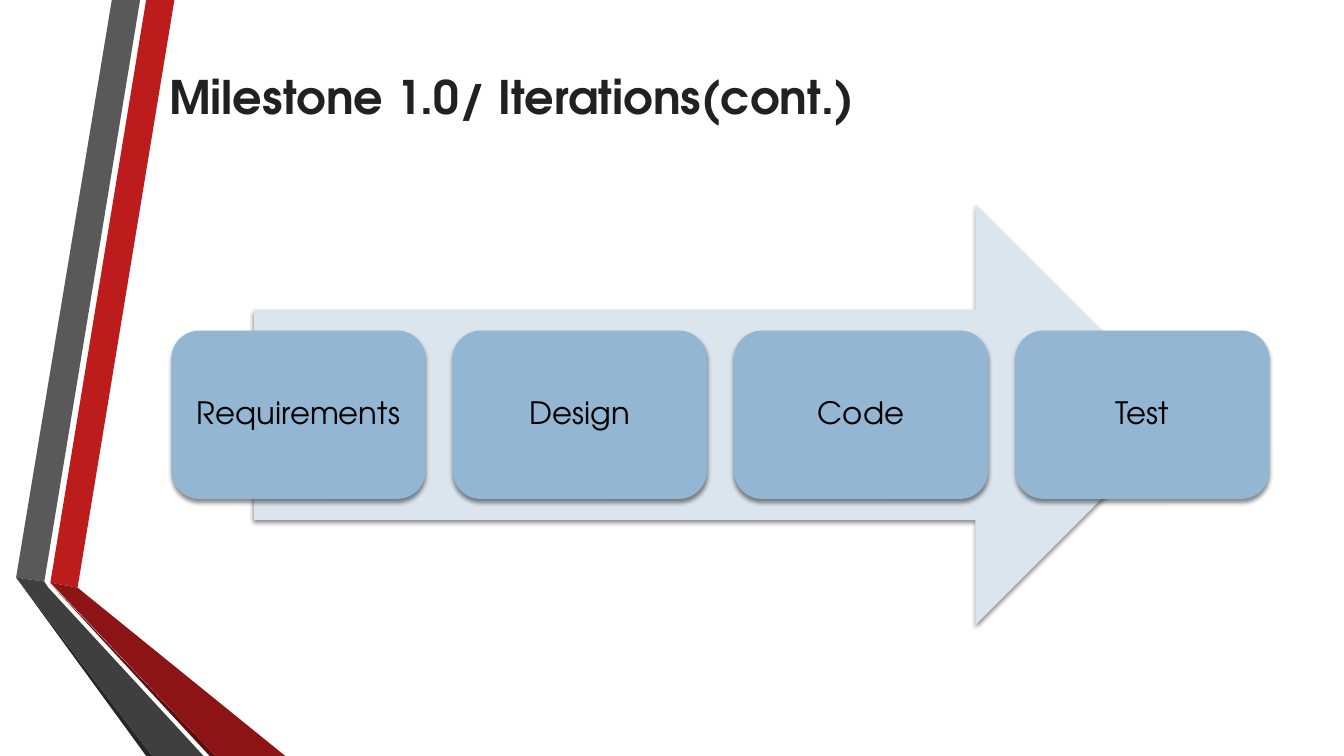
from lxml import etree
from pptx import Presentation
from pptx.dml.color import RGBColor
from pptx.enum import shapes, text
from pptx.oxml import ns
from pptx.util import Inches, Pt

FONT = "TeX Gyre Adventor"
TITLE = "Milestone 1.0/ Iterations(cont.)"
PHASES = ["Requirements", "Design", "Code", "Test"]

# Folded ribbons at the left edge: colour and corner points in inches
RIBBONS = [
    ("BC1C1C", [(0.5, 5.78), (0.77, 5.83), (1.73, 0), (1.45, 0)]),
    ("595959", [(1.39, 0), (1.11, 0), (0.16, 5.73), (0.44, 5.77)]),
    ("262626", [(0.16, 5.73), (1.45, 7.5), (1.51, 7.5)]),
    ("5E0D0E", [(0.5, 5.79), (2.08, 7.5), (2.14, 7.5)]),
    ("8D1415", [(0.5, 5.78), (2.14, 7.5), (2.83, 7.5), (0.77, 5.83)]),
    ("3F3F3F", [(0.16, 5.73), (1.51, 7.5), (2.02, 7.5), (0.48, 5.83), (0.44, 5.77)]),
]

# Process layout in inches
ARROW = (2.52, 2.03, 9.24, 4.17)
BOX_LEFT, BOX_WIDTH, BOX_HEIGHT, BOX_PITCH = 1.7, 2.52, 1.67, 2.79
BOX_TOP = ARROW[1] + (ARROW[3] - BOX_HEIGHT) / 2


def color(value):
    return RGBColor.from_string(value)


def paint(shape, fill):
    shape.shadow.inherit = False
    shape.fill.solid()
    shape.fill.fore_color.rgb = color(fill)
    shape.line.fill.background()


def add_shadow(shape):
    effects = shape._element.spPr.find(ns.qn("a:effectLst"))
    shadow = etree.SubElement(effects, ns.qn("a:outerShdw"), blurRad=str(Pt(3)),
                              dist=str(Pt(2.4)), dir="5400000", rotWithShape="0")
    black = etree.SubElement(shadow, ns.qn("a:srgbClr"), val="000000")
    etree.SubElement(black, ns.qn("a:alpha"), val="45000")


def add_ribbon(slide, fill, points):
    corners = [(Inches(x), Inches(y)) for x, y in points]
    builder = slide.shapes.build_freeform(*corners[0])
    builder.add_line_segments(corners[1:], close=True)
    paint(builder.convert_to_shape(), fill)


def add_block(slide, kind, bounds, fill, adjustments):
    shape = slide.shapes.add_shape(kind, *map(Inches, bounds))
    for index, value in enumerate(adjustments):
        shape.adjustments[index] = value
    paint(shape, fill)
    add_shadow(shape)
    return shape


def write(shape, words, size, fill, bold=False):
    frame = shape.text_frame
    frame.text = words
    frame.word_wrap = True
    frame.vertical_anchor = text.MSO_ANCHOR.MIDDLE
    paragraph = frame.paragraphs[0]
    font = paragraph.runs[0].font
    font.name, font.size, font.bold = FONT, Pt(size), bold
    font.color.rgb = color(fill)
    return paragraph


def main():
    presentation = Presentation()
    presentation.slide_width = Inches(13.33)
    presentation.slide_height = Inches(7.5)
    slide = presentation.slides.add_slide(presentation.slide_layouts[6])

    for fill, points in RIBBONS:
        add_ribbon(slide, fill, points)

    # Title
    title = slide.shapes.add_textbox(*map(Inches, (1.58, 0.32, 9.49, 1.26)))
    write(title, TITLE, 33, "212121", bold=True)

    # Process arrow with one box per phase
    add_block(slide, shapes.MSO_SHAPE.RIGHT_ARROW, ARROW, "DBE5EE", [0.5, 0.5])
    for index, phase in enumerate(PHASES):
        bounds = (BOX_LEFT + index * BOX_PITCH, BOX_TOP, BOX_WIDTH, BOX_HEIGHT)
        box = add_block(slide, shapes.MSO_SHAPE.ROUNDED_RECTANGLE, bounds, "93B6D2", [0.167])
        paragraph = write(box, phase, 22, "000000")
        paragraph.alignment = text.PP_ALIGN.CENTER
        paragraph.line_spacing = 0.9
        frame = box.text_frame
        frame.margin_left = frame.margin_right = Inches(0.13)
        frame.margin_top = frame.margin_bottom = Inches(0.13)

    presentation.save("out.pptx")


if __name__ == "__main__":
    main()
